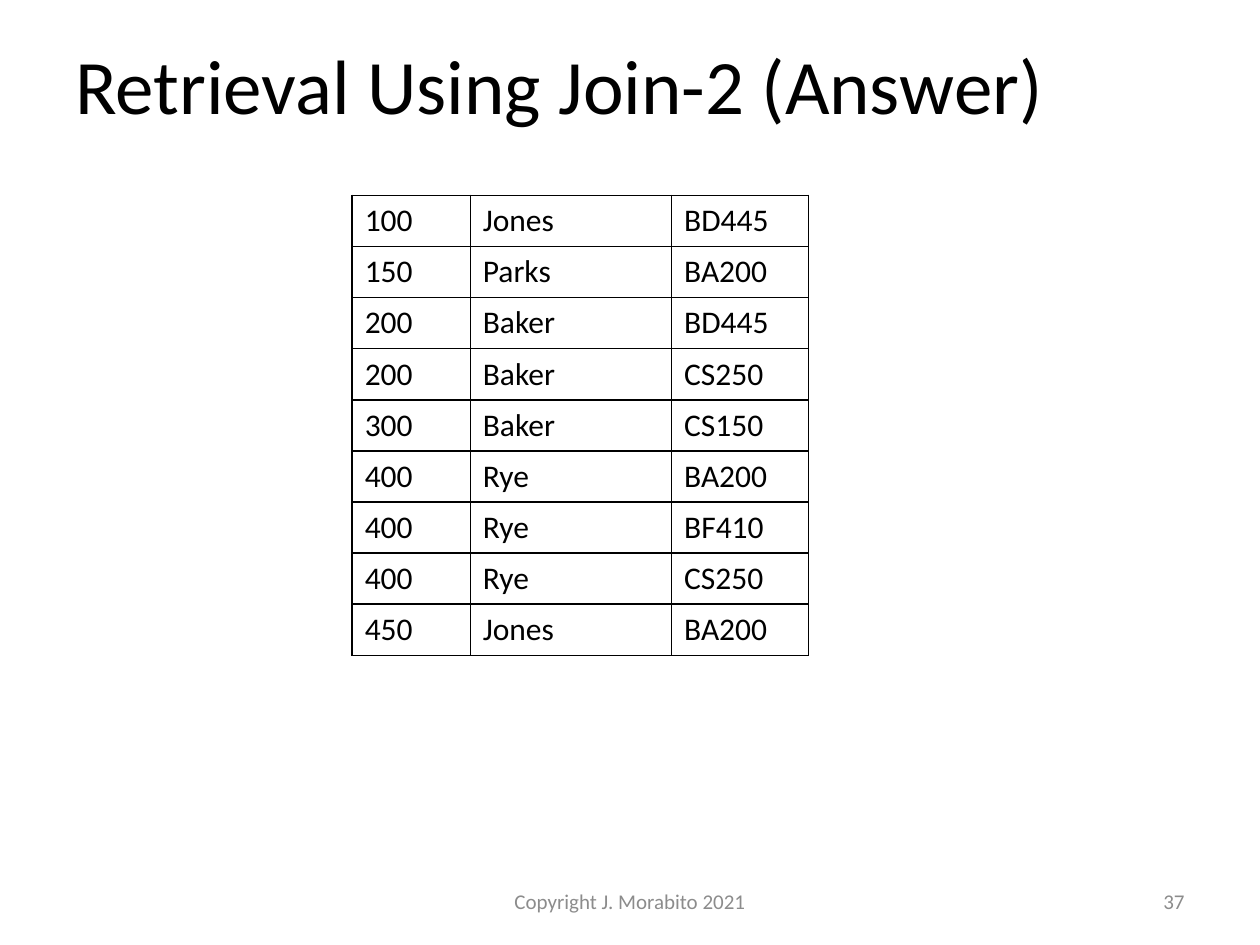
from lxml import etree
from pptx import Presentation
from pptx import util as u
from pptx.dml.color import RGBColor
from pptx.enum import text as t
from pptx.oxml import ns

INK = {"black": "000000", "gray": "8C8C8C"}
LEFT, MID, RIGHT = t.PP_ALIGN.LEFT, t.PP_ALIGN.CENTER, t.PP_ALIGN.RIGHT


def write(frame, words, size=18, ink="black", align=LEFT):
    frame.word_wrap = True
    para = frame.paragraphs[0]
    para.alignment = align
    run = para.add_run()
    run.text = words
    run.font.name = "Calibri"
    run.font.size = u.Pt(size)
    run.font.color.rgb = RGBColor.from_string(INK[ink])


def rule(cell):
    props = cell._tc.get_or_add_tcPr()
    for side in ("lnL", "lnR", "lnT", "lnB"):
        line = etree.SubElement(props, ns.qn("a:" + side), w=str(u.Pt(1)))
        fill = etree.SubElement(line, ns.qn("a:solidFill"))
        etree.SubElement(fill, ns.qn("a:srgbClr"), val=INK["black"])


deck = Presentation()
deck.slide_width, deck.slide_height = u.Cm(25.4), u.Cm(19.05)
slide = deck.slides.add_slide(deck.slide_layouts[6])

# Title, footer and page number
labels = [
    ("Retrieval Using Join-2 (Answer)", (1.27, 0.33, 22.86, 2.72), 44, "black", LEFT),
    ("Copyright J. Morabito 2021", (8.68, 17.65, 8.04, 1.02), 12, "gray", MID),
    ("37", (18.2, 17.65, 5.93, 1.02), 12, "gray", RIGHT),
]
for words, place, size, ink, align in labels:
    box = slide.shapes.add_textbox(*map(u.Cm, place))
    box.text_frame.vertical_anchor = t.MSO_ANCHOR.MIDDLE
    write(box.text_frame, words, size=size, ink=ink, align=align)

# Answer table
rows = [
    ("100", "Jones", "BD445"),
    ("150", "Parks", "BA200"),
    ("200", "Baker", "BD445"),
    ("200", "Baker", "CS250"),
    ("300", "Baker", "CS150"),
    ("400", "Rye", "BA200"),
    ("400", "Rye", "BF410"),
    ("400", "Rye", "CS250"),
    ("450", "Jones", "BA200"),
]
widths = (2.38, 4.06, 2.76)
high = 1.03
grid = slide.shapes.add_table(
    len(rows), len(widths), u.Cm(7.1), u.Cm(3.94),
    u.Cm(sum(widths)), u.Cm(high * len(rows))).table
grid.first_row = grid.horz_banding = False
for col, wide in zip(grid.columns, widths):
    col.width = u.Cm(wide)
for row, words in zip(grid.rows, rows):
    row.height = u.Cm(high)
    for cell, word in zip(row.cells, words):
        rule(cell)
        cell.fill.background()
        write(cell.text_frame, word)

deck.save("out.pptx")
